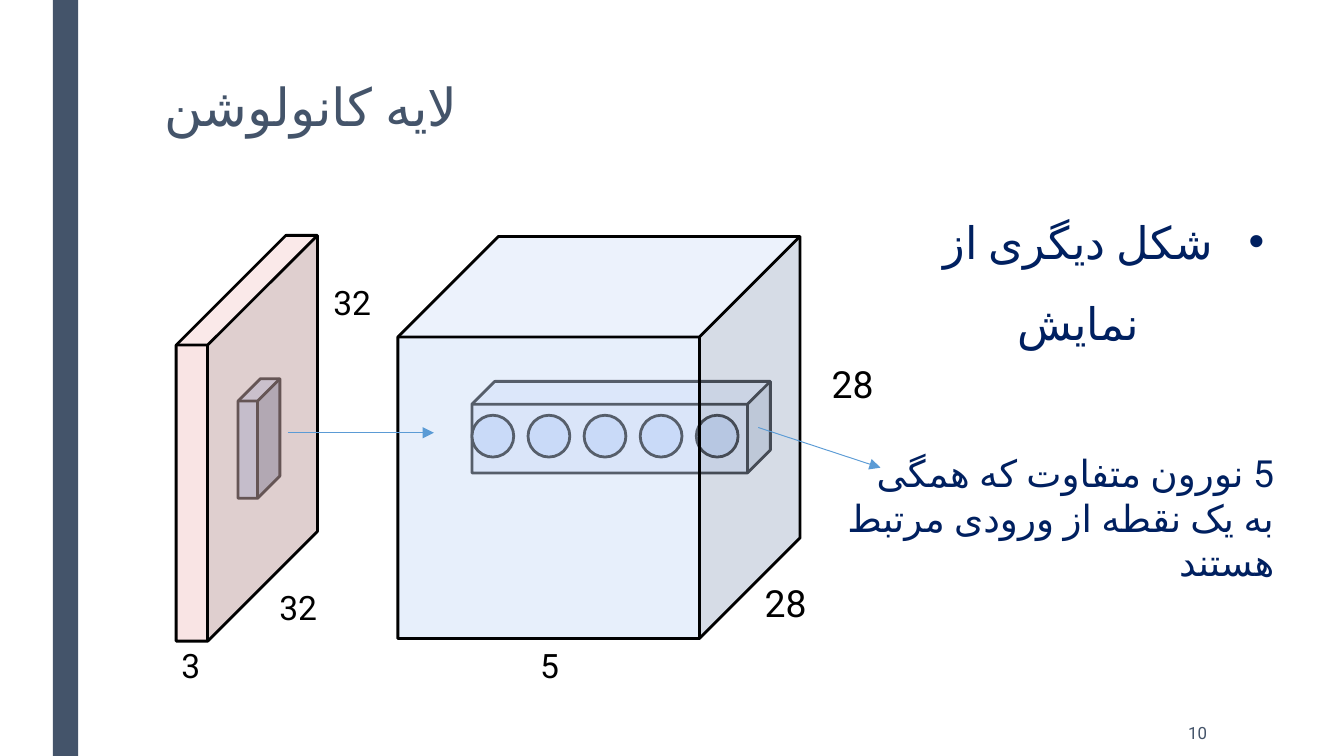
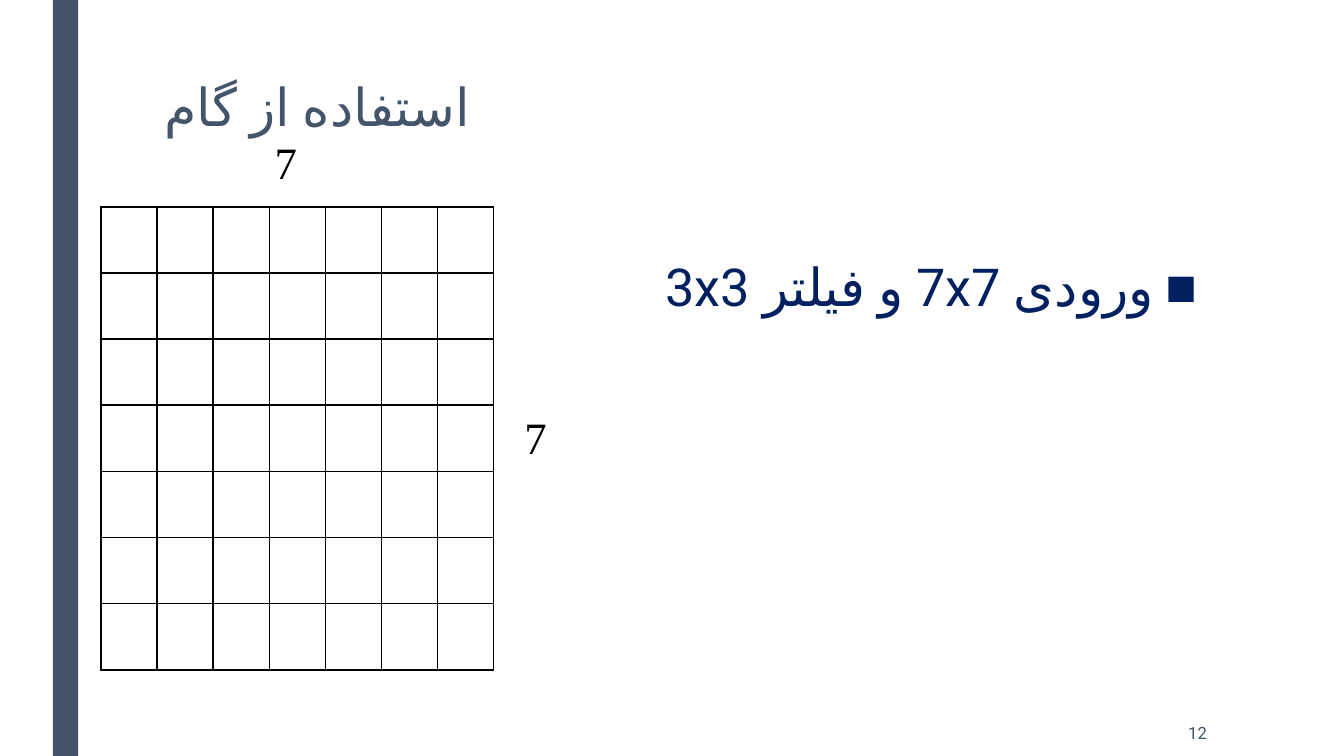
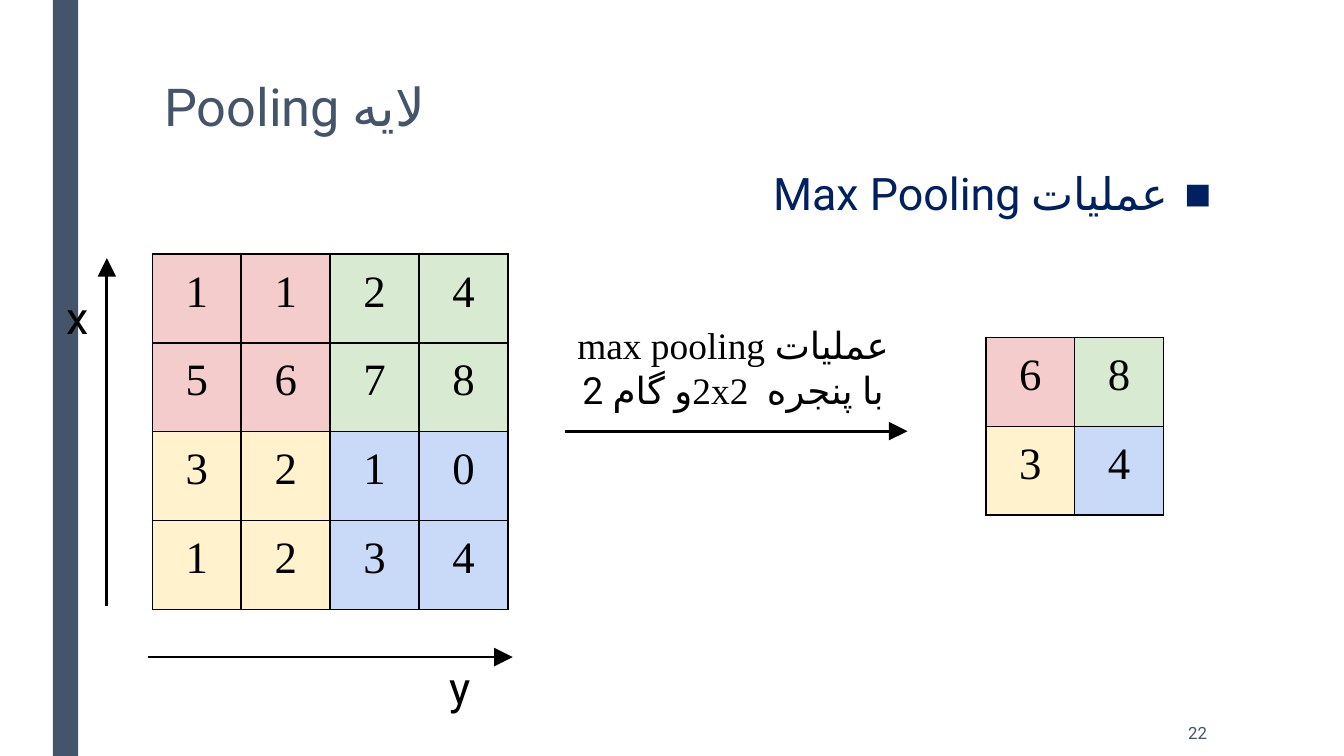
import pptx
import pptx.dml.color
import pptx.enum.shapes
import pptx.enum.text
import pptx.oxml.ns
import pptx.util
from lxml import etree

Cm = pptx.util.Cm
Pt = pptx.util.Pt
RGBColor = pptx.dml.color.RGBColor
ALIGN = pptx.enum.text.PP_ALIGN
SHAPE = pptx.enum.shapes.MSO_SHAPE
qn = pptx.oxml.ns.qn

SLATE = RGBColor(0x44, 0x54, 0x6A)
NAVY = RGBColor(0x00, 0x20, 0x60)
BLACK = RGBColor(0x00, 0x00, 0x00)
ARROW_BLUE = RGBColor(0x5B, 0x9B, 0xD5)
PINK = RGBColor(0xF4, 0xCC, 0xCC)
GREEN = RGBColor(0xD9, 0xEA, 0xD3)
YELLOW = RGBColor(0xFF, 0xF2, 0xCC)
BLUE = RGBColor(0xC9, 0xDA, 0xF8)
QUADRANTS = ((PINK, GREEN), (YELLOW, BLUE))

SANS = "Roboto"
SERIF = "Times New Roman"
BULLET_FACE = "Arial"
LANGUAGE = "fa-IR"
SLIDE_WIDTH, SLIDE_HEIGHT = 25.4, 14.29
INSET = Cm(0.25)
ACTIVATIONS = ((1, 1, 2, 4), (5, 6, 7, 8), (3, 2, 1, 0), (1, 2, 3, 4))
POOL = 2


def set_font(font, size, color, face=SANS):
    """Style a font for both Latin and Persian script."""
    font.size = Pt(size)
    font.name = face
    font.color.rgb = color
    font._rPr.set("lang", LANGUAGE)
    etree.SubElement(font._rPr, qn("a:cs"), typeface=face)


def set_rtl(paragraph):
    """Make a paragraph run from right to left."""
    paragraph._p.get_or_add_pPr().set("rtl", "1")


def set_bullet(paragraph, mark, indent):
    """Give a styled paragraph a bullet with a hanging indent."""
    properties = paragraph._p.get_or_add_pPr()
    properties.set("marL", str(Cm(indent)))
    properties.set("indent", str(-Cm(indent)))
    run_defaults = properties.find(qn("a:defRPr"))
    run_defaults.addprevious(etree.Element(qn("a:buFont"), typeface=BULLET_FACE))
    run_defaults.addprevious(etree.Element(qn("a:buChar"), char=mark))


def add_text(slide, box, text, size, color=BLACK, face=SANS,
             align=ALIGN.LEFT, rtl=False, padded=True):
    """Place a wrapped text box and return its paragraph."""
    frame = slide.shapes.add_textbox(*map(Cm, box)).text_frame
    frame.word_wrap = True
    if padded:
        frame.margin_top = frame.margin_bottom = INSET
    paragraph = frame.paragraphs[0]
    paragraph.text = text
    paragraph.alignment = align
    if rtl:
        set_rtl(paragraph)
    set_font(paragraph.font, size, color, face)
    return paragraph


def add_outlined(slide, kind, box, color, depth=None, opacity=100):
    """Draw a filled shape with a black outline."""
    shape = slide.shapes.add_shape(kind, *map(Cm, box))
    shape.shadow.inherit = False
    shape.fill.solid()
    shape.fill.fore_color.rgb = color
    shape.line.color.rgb = BLACK
    shape.line.width = Pt(1.5)
    if depth is not None:
        shape.adjustments[0] = depth
    if opacity < 100:
        tint = shape.element.spPr.find(f"{qn('a:solidFill')}/{qn('a:srgbClr')}")
        etree.SubElement(tint, qn("a:alpha"), val=str(opacity * 1000))


def add_arrow(slide, start, end, color=BLACK, width=1.5, head="lg"):
    """Draw a straight arrow from start to end."""
    arrow = slide.shapes.add_connector(
        pptx.enum.shapes.MSO_CONNECTOR.STRAIGHT, *map(Cm, (*start, *end)))
    arrow.line.color.rgb = color
    arrow.line.width = Pt(width)
    etree.SubElement(arrow.line._get_or_add_ln(), qn("a:tailEnd"),
                     type="triangle", w=head, len=head)
    etree.SubElement(arrow.element.spPr, qn("a:effectLst"))


def add_borders(cell):
    """Rule all four sides of a table cell in black."""
    properties = cell._tc.get_or_add_tcPr()
    for side in ("lnL", "lnR", "lnT", "lnB"):
        border = etree.SubElement(properties, qn(f"a:{side}"), w=str(Pt(1)))
        fill = etree.SubElement(border, qn("a:solidFill"))
        etree.SubElement(fill, qn("a:srgbClr"), val=str(BLACK))


def add_grid(slide, left, top, count, cell_width, cell_height, values=None):
    """Draw a square grid, coloured by quadrant when it holds values."""
    grid = slide.shapes.add_table(
        count, count, Cm(left), Cm(top),
        Cm(count * cell_width), Cm(count * cell_height)).table
    grid.first_row = grid.horz_banding = False
    for index in range(count):
        grid.columns[index].width = Cm(cell_width)
        grid.rows[index].height = Cm(cell_height)
    for row in range(count):
        for column in range(count):
            cell = grid.cell(row, column)
            add_borders(cell)
            if values is None:
                cell.fill.background()
                continue
            cell.fill.solid()
            cell.fill.fore_color.rgb = QUADRANTS[row * 2 // count][column * 2 // count]
            cell.margin_top = cell.margin_bottom = INSET
            paragraph = cell.text_frame.paragraphs[0]
            paragraph.text = str(values[row][column])
            paragraph.alignment = ALIGN.CENTER
            set_font(paragraph.font, 24, BLACK, SERIF)


def start_slide(deck, title, number):
    """Add a slide with the side band, title and page number."""
    slide = deck.slides.add_slide(deck.slide_layouts[5])
    band = slide.shapes.add_shape(
        SHAPE.RECTANGLE, Cm(1), Cm(0), Cm(0.48), Cm(SLIDE_HEIGHT))
    band.shadow.inherit = False
    band.fill.solid()
    band.fill.fore_color.rgb = SLATE
    band.line.fill.background()

    heading = slide.shapes.title
    heading.left, heading.top = Cm(2.85), Cm(1.42)
    heading.width, heading.height = Cm(20.02), Cm(1.7)
    heading.text_frame.vertical_anchor = pptx.enum.text.MSO_ANCHOR.TOP
    paragraph = heading.text_frame.paragraphs[0]
    paragraph.text = title
    paragraph.alignment = ALIGN.LEFT
    paragraph.line_spacing = 0.89
    set_font(paragraph.font, 28, SLATE)

    page = add_text(slide, (19.73, 13.44, 3.33, 0.84), str(number), 9, SLATE,
                    align=ALIGN.RIGHT, padded=False)
    page._parent.vertical_anchor = pptx.enum.text.MSO_ANCHOR.MIDDLE
    return slide


def add_topic(slide, left, top, text, size):
    """Place the right-to-left topic line with its square bullet."""
    topic = add_text(slide, (left, top, 20.02, 7.47), text, size, NAVY,
                     align=ALIGN.RIGHT, rtl=True, padded=False)
    topic.line_spacing = 0.94
    topic.space_before, topic.space_after = Pt(7.5), Pt(1.5)
    set_bullet(topic, "■", 0.81)


def draw_input_volume(slide, left, top):
    """Draw the input image volume, its filter and dimensions."""
    add_outlined(slide, SHAPE.CUBE, (left + 1.17, top + 2.71, 0.79, 2.26), BLUE, 0.534)
    add_outlined(slide, SHAPE.CUBE, (left, top, 2.67, 7.67), PINK, 0.777, 52)
    for size, across, down in (("32", 1.7, 6.4), ("32", 2.72, 0.63), ("3", -0.15, 7.49)):
        add_text(slide, (left + across, top + down, 1.37, 0.8), size, 18)


def draw_output_volume(slide, left, top):
    """Draw the output volume with its row of five neurons."""
    add_outlined(slide, SHAPE.CUBE, (left + 1.4, top + 2.74, 5.64, 1.73), BLUE, 0.25, 43)
    for neuron in range(5):
        add_outlined(slide, SHAPE.OVAL,
                     (left + 1.4 + neuron * 1.06, top + 3.38, 0.79, 0.79), BLUE)
    add_outlined(slide, SHAPE.CUBE, (left, top, 7.6, 7.6), BLUE, 0.25, 43)
    for across, down in ((7.95, 2.11), (6.68, 6.25)):
        add_text(slide, (left + across, top + down, 1.52, 0.86), "28", 20)
    add_text(slide, (left + 2.44, top + 7.47, 1.37, 0.51), "5", 18)


def build_convolution(deck):
    """Build the slide on the convolution layer."""
    slide = start_slide(deck, "لایه کانولوشن", 10)
    draw_input_volume(slide, 3.33, 4.45)
    draw_output_volume(slide, 7.52, 4.47)
    add_text(slide, (15.72, 8.38, 8.61, 1.96),
             "5 نورون متفاوت که همگی\vبه یک نقطه از ورودی مرتبط هستند",
             20, NAVY, align=ALIGN.RIGHT, rtl=True, padded=False)
    add_arrow(slide, (14.33, 8.08), (16.64, 8.84), ARROW_BLUE, 0.5, "med")
    add_arrow(slide, (5.44, 8.18), (8.2, 8.18), ARROW_BLUE, 0.5, "med")
    view = add_text(slide, (17.15, 3.3, 7.42, 3.07), "شکل دیگری از نمایش",
                    24, NAVY, align=ALIGN.CENTER, rtl=True)
    view.line_spacing = 1.5
    set_bullet(view, "•", 0.97)


def draw_input_grid(slide, left, top):
    """Draw the empty seven by seven input with its dimensions."""
    add_grid(slide, left, top, 7, 1.06, 1.25)
    for across, down in ((3.03, -1.62), (7.75, 3.58)):
        add_text(slide, (left + across, top + down, 1.6, 1.27), "7", 24, face=SERIF)


def build_stride(deck):
    """Build the slide on using a stride."""
    slide = start_slide(deck, "استفاده از گام", 12)
    add_topic(slide, 2.85, 4.78, "ورودی 7x7 و فیلتر 3x3", 28)
    draw_input_grid(slide, 1.91, 3.91)


def draw_activations(slide, left, top):
    """Draw the activation map between its two axes."""
    add_grid(slide, left, top, len(ACTIVATIONS), 1.68, 1.68, ACTIVATIONS)
    add_arrow(slide, (left - 0.86, top + 6.66), (left - 0.86, top + 0.08))
    add_text(slide, (left - 1.88, top + 0.43, 1.09, 1.3), "x", 24)
    add_arrow(slide, (left - 0.08, top + 7.62), (left + 6.81, top + 7.62))
    add_text(slide, (left + 5.36, top + 7.42, 1.09, 1.02), "y", 24)


def draw_operation(slide, left, top):
    """Draw the operation's description above its arrow."""
    description = add_text(slide, (left, top, 7.95, 2.03), "", 20,
                           align=ALIGN.CENTER, rtl=True)
    lines = ((("عملیات ", SANS), ("max pooling", SERIF)),
             (("با پنجره  ", SANS), ("2x2", SERIF), ("و گام 2", SANS)))
    for index, line in enumerate(lines):
        if index:
            description.add_line_break()
        for words, face in line:
            run = description.add_run()
            run.text = words
            set_font(run.font, 20, BLACK, face)
    add_arrow(slide, (left + 0.79, top + 2.31), (left + 7.27, top + 2.31))


def max_pool(values):
    """Return the largest value of each pooling window."""
    starts = range(0, len(values), POOL)
    return [[max(max(line[column:column + POOL]) for line in values[row:row + POOL])
             for column in starts] for row in starts]


def build_pooling(deck):
    """Build the slide on the pooling layer."""
    slide = start_slide(deck, "لایه Pooling", 22)
    set_rtl(slide.shapes.title.text_frame.paragraphs[0])
    add_topic(slide, 3.12, 3.1, "عملیات Max Pooling", 24)
    draw_activations(slide, 2.88, 4.8)
    draw_operation(slide, 9.88, 5.84)
    add_grid(slide, 18.63, 6.38, 2, 1.68, 1.68, max_pool(ACTIVATIONS))


def main():
    """Build and save the deck."""
    deck = pptx.Presentation()
    deck.slide_width, deck.slide_height = Cm(SLIDE_WIDTH), Cm(SLIDE_HEIGHT)
    build_convolution(deck)
    build_stride(deck)
    build_pooling(deck)
    deck.save("out.pptx")


if __name__ == "__main__":
    main()
